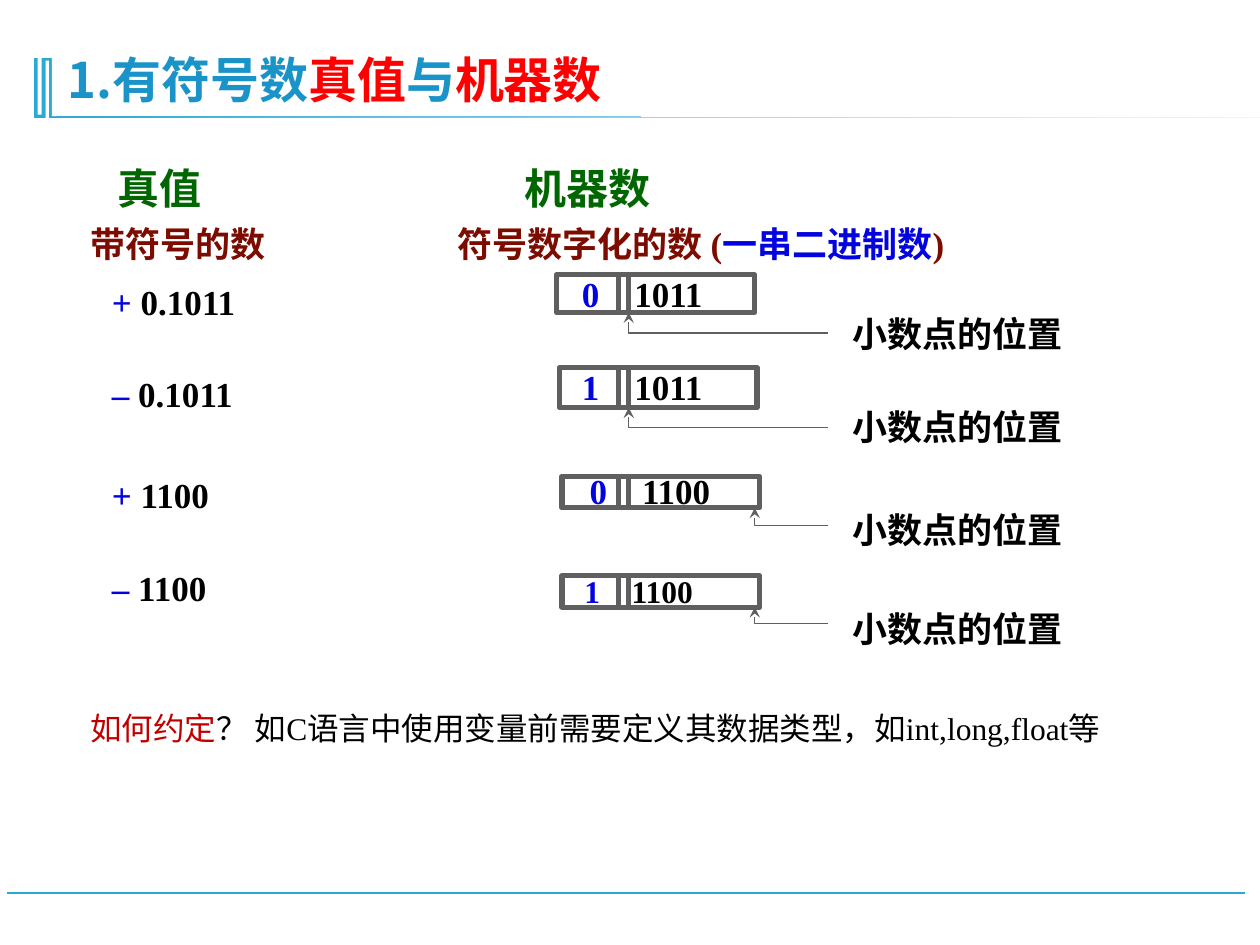
from lxml import etree
from pptx import Presentation
from pptx.dml.color import RGBColor
from pptx.enum.shapes import MSO_CONNECTOR as Link, MSO_SHAPE as Kind
from pptx.enum.text import MSO_AUTO_SIZE as Auto
from pptx.oxml.ns import qn
from pptx.util import Pt

ROMAN, SANS = "Times New Roman", "Noto Sans CJK SC"
CYAN, SKY, RED, GREEN = "28A9D6", "1A93C8", "FF0000", "006600"
BROWN, BLUE, BLACK, GREY = "7D0C00", "0303DF", "000000", "5F5F5F"
BARS = (353.5, 359.3)

ROWS = [
    ("+ ", "0", "0.1011", "1011", 157, (325.4, 152), 20, (318.2, 157, 21.6), 359.3, 11.6, 175),
    ("– ", "1", "0.1011", "1011", 209.5, (325.4, 205.2), 20, (319.7, 210.2, 22.8), 359.3, 11.5, 228.2),
    ("+ ", "0", "1100", "1100", 267.1, (329.8, 265), 20, (321.1, 272.2, 18), 431.3, 10, 287.3),
    ("– ", "1", "1100", "1100", 320.4, (326.9, 323.3), 18, (321.1, 329, 18), 431.3, 9.4, 343.4),
]

FRAME = [
    (29.5, 33.1), (29.5, 66.5), (100.8, 66.5), (726.5, 67.4), (28.1, 67.4),
    (28.1, 34.6), (25.9, 34.6), (25.9, 67.4), (19.4, 67.4), (19.4, 33.1),
    (21.6, 33.1), (21.6, 65.5), (23.8, 65.5), (23.8, 33.1),
]


def color(code):
    return RGBColor.from_string(code)


def add_text(slide, x, y, w, h, runs, size, face=ROMAN, bold=True, wrap=False, tab=None):
    box = slide.shapes.add_textbox(Pt(x), Pt(y), Pt(w), Pt(h))
    frame = box.text_frame
    frame.word_wrap = wrap
    frame.auto_size = Auto.SHAPE_TO_FIT_TEXT
    para = frame.paragraphs[0]
    if tab:
        stops = etree.SubElement(para._p.get_or_add_pPr(), qn("a:tabLst"))
        etree.SubElement(stops, qn("a:tab"), pos=str(Pt(tab)), algn="l")
    for words, code in runs:
        run = para.add_run()
        run.text = words
        font = run.font
        font.size, font.bold, font.name = Pt(size), bold, face
        font.color.rgb = color(code)
        etree.SubElement(run._r.get_or_add_rPr(), qn("a:ea"), typeface=SANS)


def add_line(slide, x1, y1, x2, y2, code, width):
    line = slide.shapes.add_connector(Link.STRAIGHT, Pt(x1), Pt(y1), Pt(x2), Pt(y2))
    line.line.color.rgb = color(code)
    line.line.width = Pt(width)
    etree.SubElement(line._element.spPr, qn("a:effectLst"))


def add_box(slide, x, y, w, h):
    box = slide.shapes.add_shape(Kind.RECTANGLE, Pt(x), Pt(y), Pt(w), Pt(h))
    box.shadow.inherit = False
    box.fill.background()
    box.line.color.rgb = color(GREY)
    box.line.width = Pt(3)


def add_path(slide, points, close):
    spots = [(Pt(x), Pt(y)) for x, y in points]
    pen = slide.shapes.build_freeform(*spots[0])
    pen.add_line_segments(spots[1:], close=close)
    path = pen.convert_to_shape()
    path.shadow.inherit = False
    return path


def add_frame(slide):
    frame = add_path(slide, FRAME, True)
    frame.line.fill.background()
    frame.fill.gradient()
    frame.fill.gradient_angle = 0
    for stop, code in zip(frame.fill.gradient_stops, (CYAN, "FFFFFF")):
        stop.color.rgb = color(code)


def add_arrow(slide, x, tip, drop):
    base = tip + drop
    arrow = add_path(slide, [(473, base), (x, base), (x, tip)], False)
    arrow.fill.background()
    arrow.line.color.rgb = color(GREY)
    arrow.line.width = Pt(0.75)
    etree.SubElement(arrow.line._get_or_add_ln(), qn("a:tailEnd"), type="stealth")


def add_row(slide, sign, bit, value, digits, top, spot, size, cell, point, drop, label):
    add_text(slide, 56.9, top, 86, 31.7, [(sign, BLUE), (value, BLACK)], 20)
    add_text(slide, *spot, 125, 31.7, [(bit + "\t", BLUE), (digits, BLACK)], size,
             wrap=True, tab=size * 1.5)
    x, y, h = cell
    add_box(slide, x, y, 113, h)
    for bar in BARS:
        add_line(slide, bar, y, bar, y + h - 1.2, GREY, 3)
    add_arrow(slide, point, y + h, drop)
    add_text(slide, 480.2, label, 136.8, 23, [("小数点的位置", BLACK)], 20)


def main():
    deck = Presentation()
    deck.slide_width, deck.slide_height = Pt(720), Pt(540)
    slide = deck.slides.add_slide(deck.slide_layouts[6])
    add_line(slide, 711.4, 510.5, 4.3, 510.5, CYAN, 1.25)
    add_frame(slide)
    add_text(slide, 31.7, 24.5, 326.9, 41,
             [("1.有符号数", SKY), ("真值", RED), ("与", SKY), ("机器数", RED)], 28, SANS)
    add_text(slide, 59.8, 89.3, 342, 26.6, [("真值\t机器数", GREEN)], 24, tab=233)
    add_text(slide, 44.6, 123.8, 630, 31.7,
             [("带符号的数\t符号数字化的数 (", BROWN), ("一串二进制数", BLUE), (")", BROWN)],
             20, wrap=True, tab=209.5)
    for row in ROWS:
        add_row(slide, *row)
    add_text(slide, 44.6, 401.8, 669.6, 28.8,
             [("如何约定", "C00000"),
              ("？ 如C语言中使用变量前需要定义其数据类型，如int,long,float等", BLACK)],
             18, bold=False, wrap=True)
    deck.save("out.pptx")


if __name__ == "__main__":
    main()
